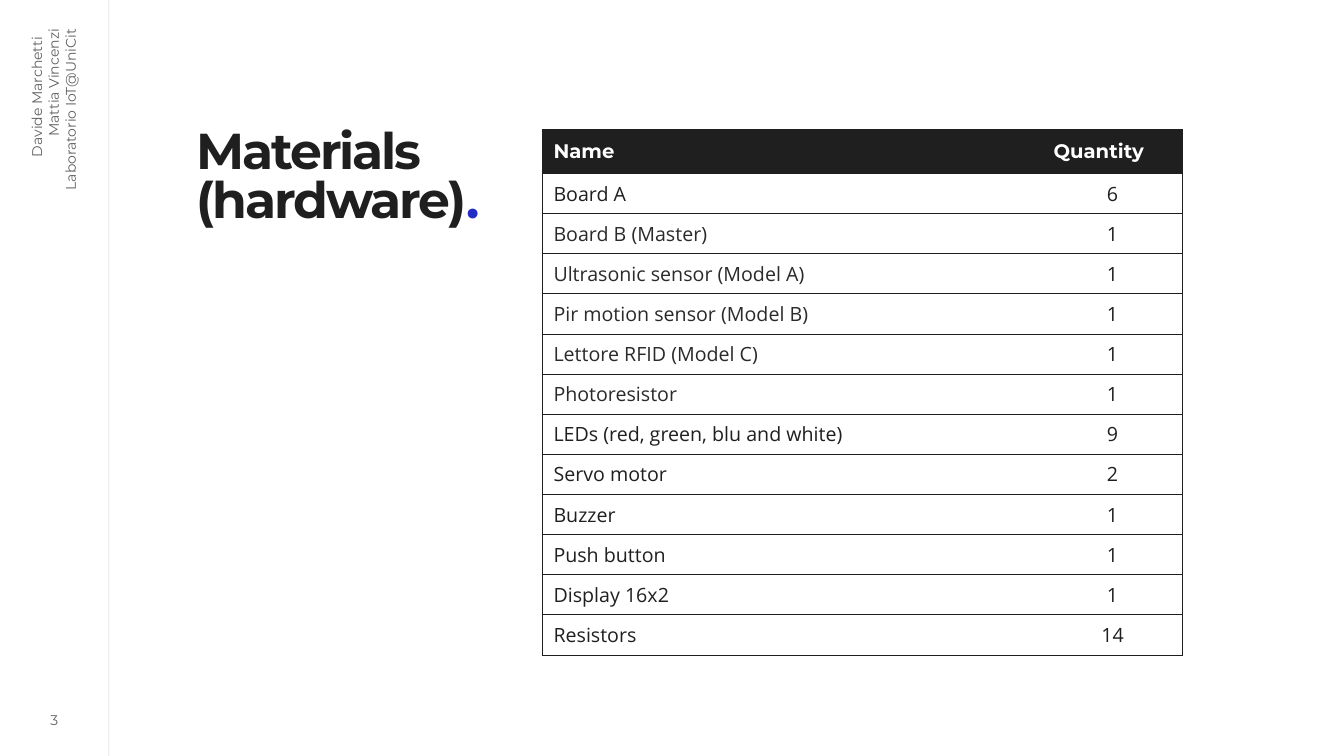
import pptx
import pptx.dml.color
import pptx.enum.shapes
import pptx.enum.text
import pptx.oxml.ns
import pptx.util
from lxml import etree
from pptx.util import Inches

COLORS = {
    "ink": "1F1F1F",
    "soft_ink": "2A2A2A",
    "grey": "626262",
    "accent": "212CC7",
    "white": "FFFFFF",
}
HEADING_FONT = "Montserrat"
BODY_FONT = "Open Sans"
ALIGN = pptx.enum.text.PP_ALIGN

TABLE_HEIGHT = 5.21
HEADER_HEIGHT = 0.43
MATERIALS = [
    ("Board A", 6, "ink"),
    ("Board B (Master)", 1, "soft_ink"),
    ("Ultrasonic sensor (Model A)", 1, "soft_ink"),
    ("Pir motion sensor (Model B)", 1, "soft_ink"),
    ("Lettore RFID (Model C)", 1, "soft_ink"),
    ("Photoresistor", 1, "soft_ink"),
    ("LEDs (red, green, blu and white)", 9, "ink"),
    ("Servo motor", 2, "ink"),
    ("Buzzer", 1, "ink"),
    ("Push button", 1, "ink"),
    ("Display 16x2", 1, "ink"),
    ("Resistors", 14, "ink"),
]


def rgb(name):
    return pptx.dml.color.RGBColor.from_string(COLORS[name])


def add_child(parent, tag, **attributes):
    return etree.SubElement(parent, pptx.oxml.ns.qn(tag), **attributes)


def set_alpha(fill_parent, percent):
    """Make the solid fill colour inside an element partly transparent."""
    color = next(fill_parent.iter(pptx.oxml.ns.qn("a:srgbClr")))
    add_child(color, "a:alpha", val=str(percent * 1000))


def style(font, face, size, color, bold=False):
    font.name = face
    font.size = pptx.util.Pt(size)
    font.bold = bold
    font.color.rgb = rgb(color)


def add_text_box(slide, left, top, width, height, insets):
    box = slide.shapes.add_textbox(
        Inches(left), Inches(top), Inches(width), Inches(height))
    frame = box.text_frame
    frame.word_wrap = True
    (frame.margin_left, frame.margin_top,
     frame.margin_right, frame.margin_bottom) = map(Inches, insets)
    return box


def add_sidebar_rule(slide):
    rule = slide.shapes.add_connector(
        pptx.enum.shapes.MSO_CONNECTOR.STRAIGHT,
        Inches(1.08), 0, Inches(1.08), Inches(7.5))
    rule.line.color.rgb = rgb("ink")
    rule.line.width = pptx.util.Pt(0.5)
    properties = rule._element.spPr
    set_alpha(properties, 20)
    add_child(properties, "a:effectLst")


def add_authors(slide):
    box = add_text_box(slide, -0.63, 1.05, 2.33, 0.61, (0.1, 0.05, 0.1, 0.05))
    box.rotation = 270
    first = box.text_frame.paragraphs[0]
    first.text = "Davide Marchetti"
    others = box.text_frame.add_paragraph()
    others.text = "Mattia Vincenzi\vLaboratorio IoT@UniCit"
    for paragraph, right_indent in ((first, 0.08), (others, 0)):
        paragraph.alignment = ALIGN.RIGHT
        paragraph._p.get_or_add_pPr().set("marR", str(Inches(right_indent)))
        style(paragraph.font, HEADING_FONT, 10, "grey")


def add_page_number(slide):
    frame = add_text_box(slide, 0.26, 7.02, 0.56, 0.25, (0, 0, 0, 0)).text_frame
    frame.vertical_anchor = pptx.enum.text.MSO_ANCHOR.MIDDLE
    number = frame.paragraphs[0]
    number.alignment = ALIGN.CENTER
    run = number.add_run()
    run.text = "3"
    style(run.font, HEADING_FONT, 10, "ink")
    set_alpha(run._r, 70)


def add_title(slide):
    box = add_text_box(slide, 1.95, 1.09, 4.62, 1.77, (0, 0.21, 0, 0))
    title = box.text_frame.paragraphs[0]
    title.line_spacing = 0.8
    for text, color in (("Materials (hardware)", "ink"), (".", "accent")):
        run = title.add_run()
        run.text = text
        style(run.font, HEADING_FONT, 36, color, bold=True)
        run._r.get_or_add_rPr().set("spc", "-150")


def set_borders(cell, widths):
    """Draw the sides named in widths (points) and hide the others."""
    properties = cell._tc.get_or_add_tcPr()
    for side in "LRTB":
        width = widths.get(side, 0)
        line = add_child(properties, f"a:ln{side}",
                         w=str(pptx.util.Pt(width)))
        if width:
            fill = add_child(line, "a:solidFill")
            add_child(fill, "a:srgbClr", val=COLORS["ink"])
        else:
            add_child(line, "a:noFill")


def fill_cell(cell, text, face, color, widths, bold=False, align=ALIGN.LEFT):
    cell.vertical_anchor = pptx.enum.text.MSO_ANCHOR.MIDDLE
    cell.margin_left = cell.margin_right = Inches(0.11)
    cell.margin_top = cell.margin_bottom = Inches(0.05)
    paragraph = cell.text_frame.paragraphs[0]
    paragraph.text = text
    paragraph.alignment = align
    style(paragraph.font, face, 14, color, bold)
    set_borders(cell, widths)


def add_materials_table(slide):
    table = slide.shapes.add_table(
        len(MATERIALS) + 1, 2,
        Inches(5.38), Inches(1.29), Inches(6.35), Inches(TABLE_HEIGHT)).table
    table.horz_banding = False
    for column, width in zip(table.columns, (4.96, 1.39)):
        column.width = Inches(width)
    body_height = (TABLE_HEIGHT - HEADER_HEIGHT) / len(MATERIALS)
    for index, row in enumerate(table.rows):
        row.height = Inches(body_height if index else HEADER_HEIGHT)

    for column, heading in enumerate(("Name", "Quantity")):
        cell = table.cell(0, column)
        fill_cell(cell, heading, HEADING_FONT, "white",
                  dict.fromkeys("LRTB", 1), bold=True)
        cell.fill.solid()
        cell.fill.fore_color.rgb = rgb("ink")

    for row, (name, quantity, name_color) in enumerate(MATERIALS, start=1):
        rules = {"T": 1 if row == 1 else 0.5, "B": 0.5}
        name_cell, quantity_cell = table.cell(row, 0), table.cell(row, 1)
        fill_cell(name_cell, name, BODY_FONT, name_color, {"L": 0.5, **rules})
        fill_cell(quantity_cell, str(quantity), BODY_FONT, "ink",
                  {"R": 0.5, **rules}, align=ALIGN.CENTER)
        name_cell.fill.background()
        quantity_cell.fill.background()


def main():
    deck = pptx.Presentation()
    deck.slide_width = Inches(13.33)
    deck.slide_height = Inches(7.5)
    slide = deck.slides.add_slide(deck.slide_layouts[6])
    slide.background.fill.solid()
    slide.background.fill.fore_color.rgb = rgb("white")
    add_sidebar_rule(slide)
    add_authors(slide)
    add_page_number(slide)
    add_title(slide)
    add_materials_table(slide)
    deck.save("out.pptx")


if __name__ == "__main__":
    main()
